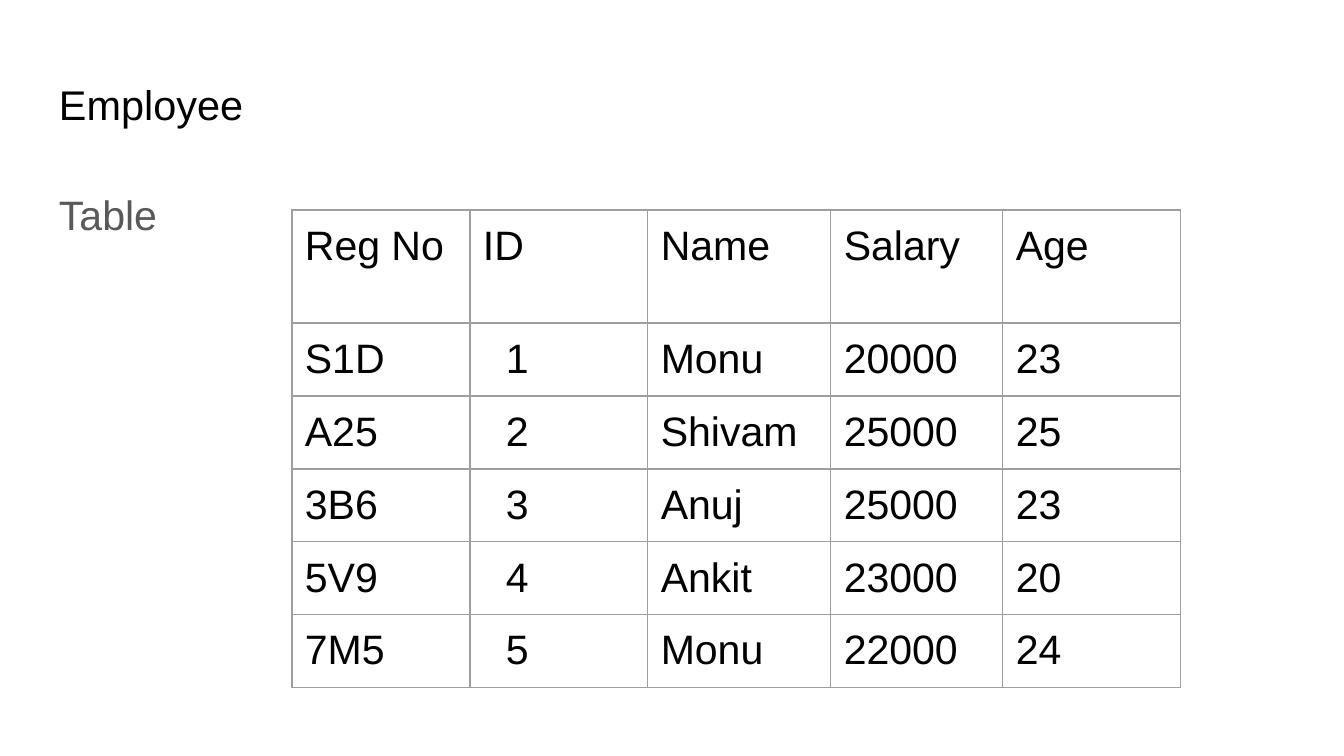
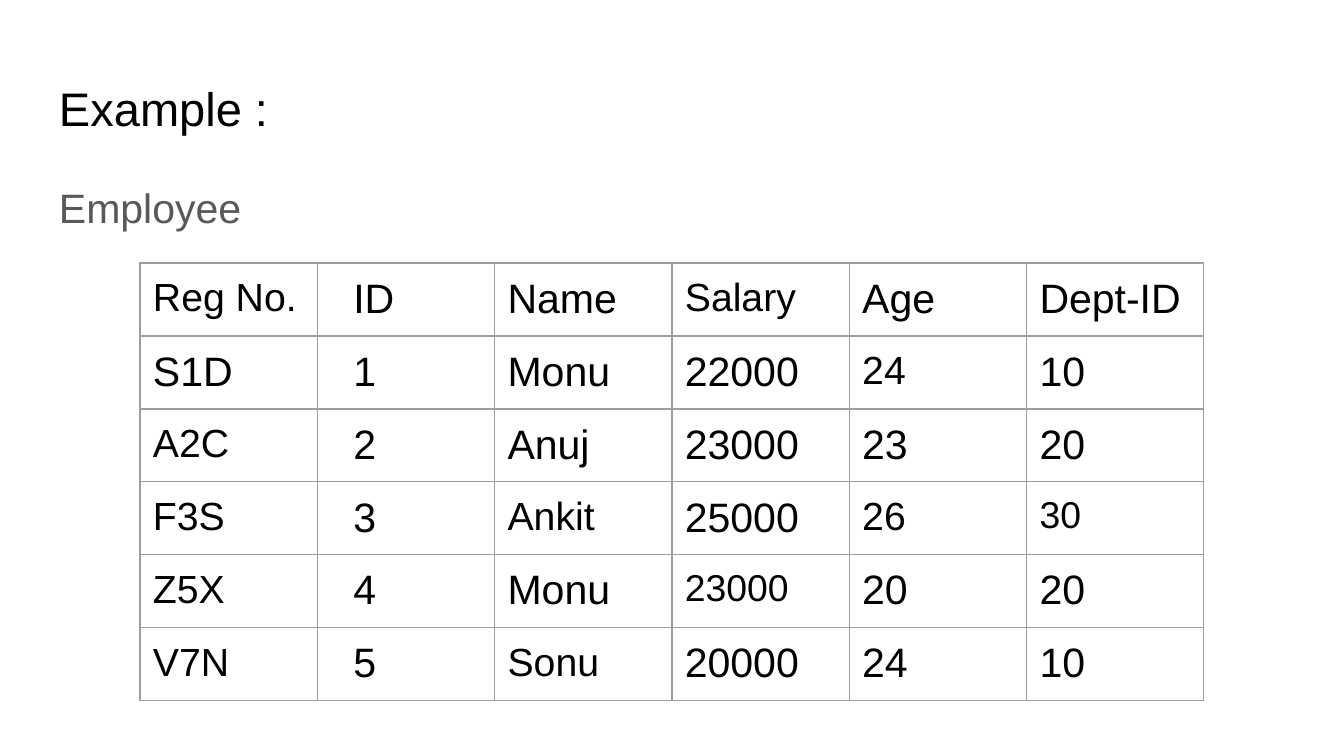
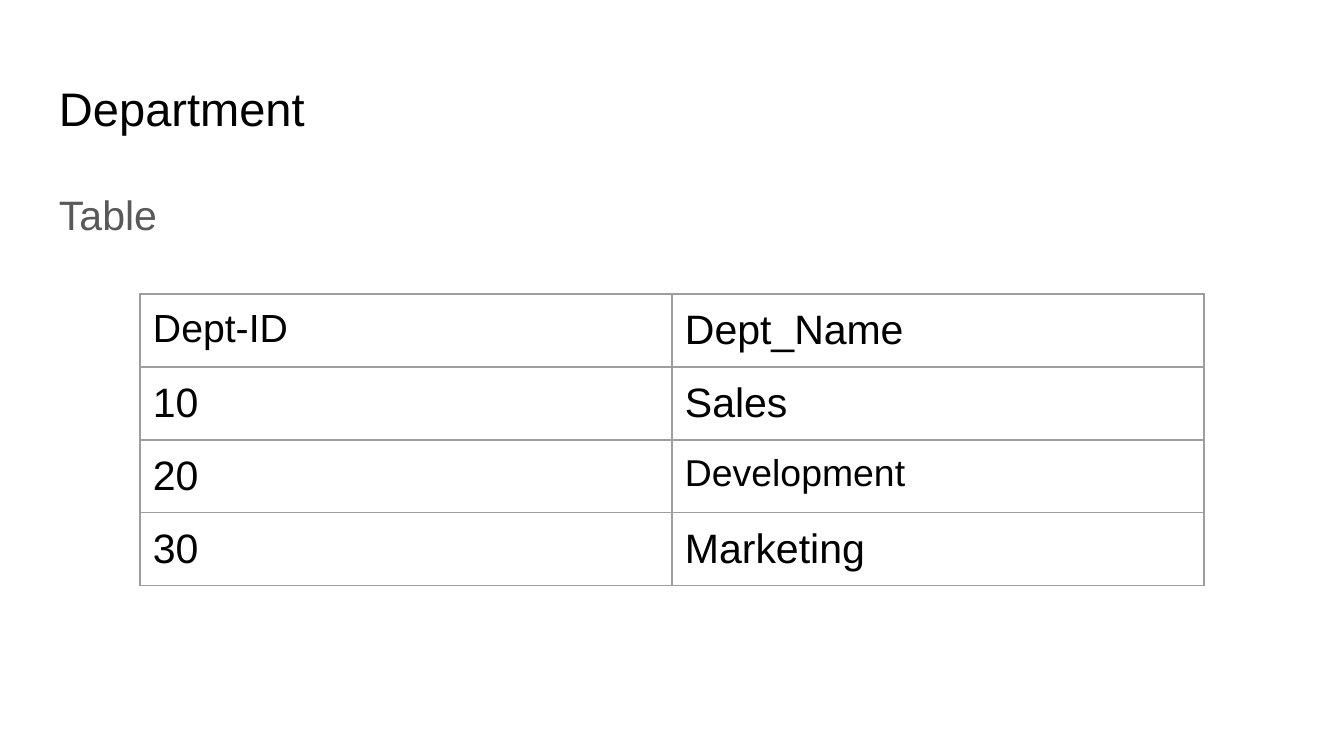
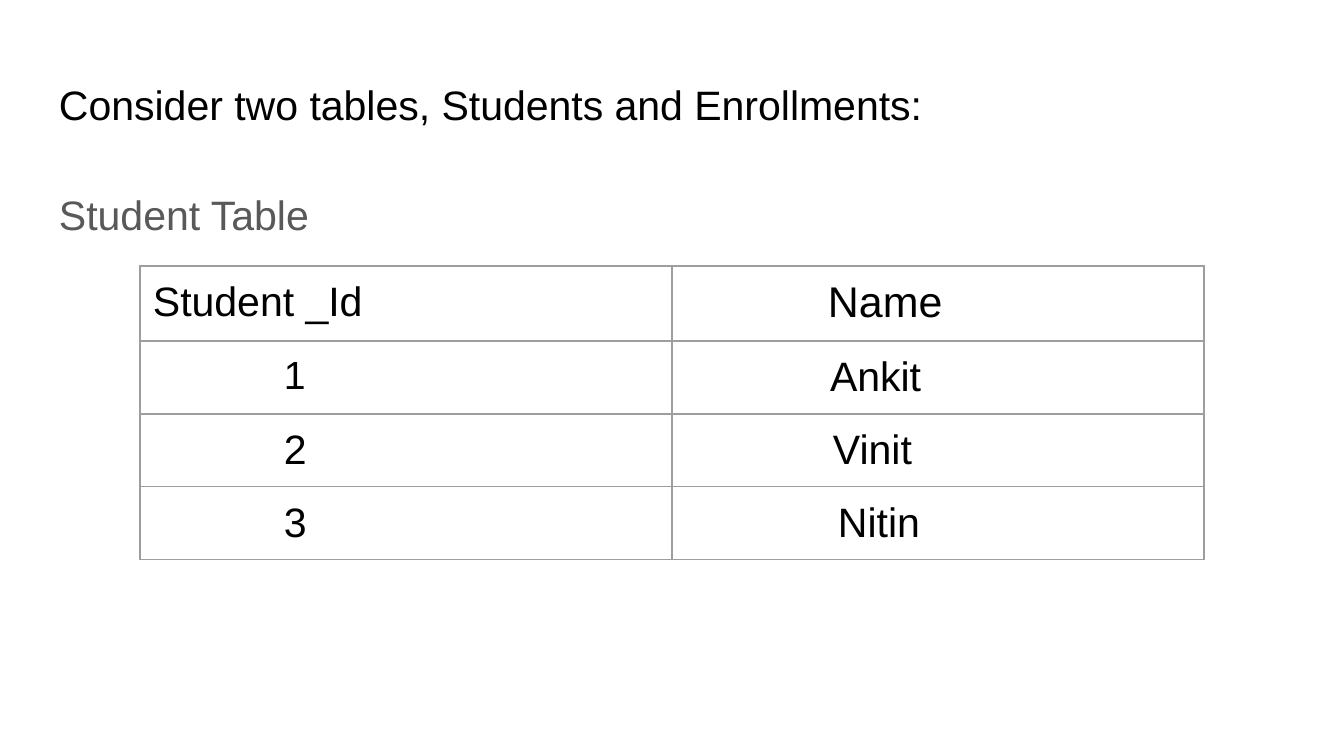
from lxml import etree
from pptx import Presentation
from pptx import util as u
from pptx.dml.color import RGBColor
from pptx.enum import text
from pptx.oxml.ns import qn

EMU_PER_PX = 914400 / 134.4
COLORS = {"ink": "000000", "muted": "595959", "grid": "9E9E9E"}
FONT = "Arial"
SIZE = 22
INSET = 13
ROW = 73
LEFT, WIDTH = 46, 1252


def px(length):
    """Turn pixels into EMU."""
    return u.Emu(round(length * EMU_PER_PX))


class Slides:
    """Hold the deck, its shared style and the current slide."""

    def __init__(self):
        """Start a deck of the shared size."""
        self.deck = Presentation()
        self.deck.slide_width, self.deck.slide_height = px(1344), px(756)
        self.page = None

    def add_text(self, frame, words, size, color):
        """Add one styled run to the first paragraph of a frame."""
        para = frame.paragraphs[0]
        para.alignment = text.PP_ALIGN.LEFT
        span = para.add_run()
        span.text = words
        span.font.name = FONT
        span.font.size = u.Pt(size)
        span.font.color.rgb = RGBColor.from_string(COLORS[color])
        return para

    def prepare(self, frame):
        """Give a text frame the shared insets, wrap and anchor."""
        frame.word_wrap = True
        frame.auto_size = text.MSO_AUTO_SIZE.NONE
        frame.vertical_anchor = text.MSO_ANCHOR.TOP
        frame.margin_left = frame.margin_right = px(INSET)
        frame.margin_top = frame.margin_bottom = px(INSET)

    def start(self, title, size, height=85):
        """Add a title-only slide and set its title."""
        self.page = self.deck.slides.add_slide(self.deck.slide_layouts[5])
        box = self.page.shapes.title
        box.left, box.top, box.width, box.height = map(px, (LEFT, 66, WIDTH, height))
        self.prepare(box.text_frame)
        self.add_text(box.text_frame, title, size, "ink")

    def caption(self, words, spacing=1.15, height=503):
        """Add the grey line above the table."""
        box = self.page.shapes.add_textbox(*map(px, (LEFT, 169, WIDTH, height)))
        self.prepare(box.text_frame)
        self.add_text(box.text_frame, words, SIZE, "muted").line_spacing = spacing

    def border(self, cell):
        """Draw the four thin edges of a cell."""
        props = cell._tc.get_or_add_tcPr()
        for side in ("lnL", "lnR", "lnT", "lnB"):
            line = etree.SubElement(props, qn(f"a:{side}"), w=str(u.Pt(0.75)))
            fill = etree.SubElement(line, qn("a:solidFill"))
            etree.SubElement(fill, qn("a:srgbClr"), val=COLORS["grid"])

    def table(self, rows, top, left=140, widths=None, header=ROW, sizes=None, indents=None):
        """Add a table; sizes and indents are exceptions by (row, column)."""
        sizes, indents = sizes or {}, indents or {}
        widths = widths or [1064 / len(rows[0])] * len(rows[0])
        heights = [header] + [ROW] * (len(rows) - 1)
        frame = self.page.shapes.add_table(
            len(rows), len(widths), *map(px, (left, top, sum(widths), sum(heights))))
        grid = frame.table
        grid.first_row = grid.horz_banding = False
        for column, width in zip(grid.columns, widths):
            column.width = px(width)
        for r, (row, height) in enumerate(zip(rows, heights)):
            grid.rows[r].height = px(height)
            for c, words in enumerate(row):
                cell = grid.cell(r, c)
                cell.margin_left = px(INSET + indents.get((r, c), 0))
                cell.margin_right = cell.margin_top = cell.margin_bottom = px(INSET)
                self.border(cell)
                cell.fill.background()
                self.add_text(cell.text_frame, words, sizes.get((r, c), SIZE), "ink")


def main():
    """Build the four slides."""
    slides = Slides()

    slides.start("Employee", 22.2, height=81)
    slides.caption("Table", height=586)
    slides.table(
        [("Reg No", "ID", "Name", "Salary", "Age"),
         ("S1D", "1", "Monu", "20000", "23"),
         ("A25", "2", "Shivam", "25000", "25"),
         ("3B6", "3", "Anuj", "25000", "23"),
         ("5V9", "4", "Ankit", "23000", "20"),
         ("7M5", "5", "Monu", "22000", "24")],
        top=210, left=292, widths=[178, 178, 183, 172, 178], header=113,
        indents={(r, 1): 23 for r in range(1, 6)})

    slides.start("Example :", 25.2)
    slides.caption("Employee", spacing=1.0)
    small = [(0, 0), (0, 3), (1, 4), (2, 0), (3, 0), (3, 2), (3, 4), (4, 0), (5, 0), (5, 2)]
    slides.table(
        [("Reg No.", "ID", "Name", "Salary", "Age", "Dept-ID"),
         ("S1D", "1", "Monu", "22000", "24", "10"),
         ("A2C", "2", "Anuj", "23000", "23", "20"),
         ("F3S", "3", "Ankit", "25000", "26", "30"),
         ("Z5X", "4", "Monu", "23000", "20", "20"),
         ("V7N", "5", "Sonu", "20000", "24", "10")],
        top=263,
        sizes={**dict.fromkeys(small, 21), (3, 5): 20, (4, 3): 20},
        indents={(r, 1): 23 for r in range(6)})

    slides.start("Department", 25.2)
    slides.caption("Table")
    slides.table(
        [("Dept-ID", "Dept_Name"),
         ("10", "Sales"),
         ("20", "Development"),
         ("30", "Marketing")],
        top=294, sizes={(0, 0): 21, (2, 1): 20})

    slides.start("Consider two tables, Students and Enrollments:", 22)
    slides.caption("Student Table")
    slides.table(
        [("Student _Id", "Name"),
         ("1", "Ankit"),
         ("2", "Vinit"),
         ("3", "Nitin")],
        top=266, header=75, sizes={(0, 1): 23, (1, 0): 21},
        indents={(0, 1): 143, (1, 0): 131, (2, 0): 131, (3, 0): 131,
                 (1, 1): 145, (2, 1): 148, (3, 1): 153})

    slides.deck.save("out.pptx")


if __name__ == "__main__":
    main()
